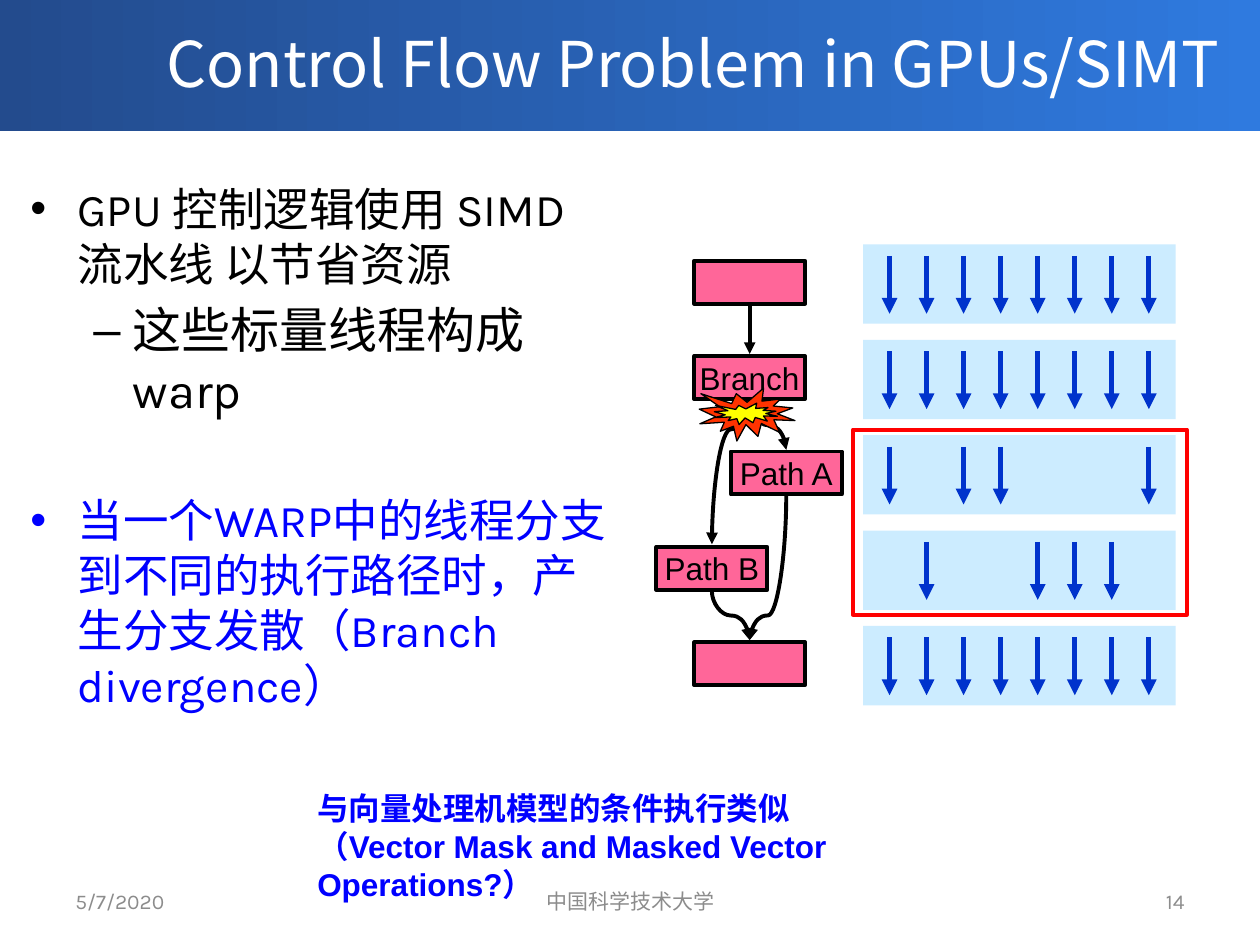
import lxml.etree
import pptx
import pptx.dml.color
import pptx.enum.shapes
import pptx.enum.text
import pptx.oxml.ns
import pptx.util

Inches = pptx.util.Inches
Pt = pptx.util.Pt
qn = pptx.oxml.ns.qn
MSO_SHAPE = pptx.enum.shapes.MSO_SHAPE
MSO_CONNECTOR = pptx.enum.shapes.MSO_CONNECTOR
ALIGN = pptx.enum.text.PP_ALIGN
MIDDLE = pptx.enum.text.MSO_ANCHOR.MIDDLE

HEX = {
    "banner_dark": "234B8D", "banner_light": "2F7ADF", "white": "FFFFFF",
    "black": "000000", "blue": "0000FF", "grey": "8C8C8C",
    "warp": "CCECFF", "thread": "0033CC", "divergence": "FF0000",
    "block": "FF6699", "flame": "FF3300", "spark": "FFFF00",
}
COLOR = {name: pptx.dml.color.RGBColor.from_string(code) for name, code in HEX.items()}
CJK_FONT = "Noto Sans CJK SC"


def write_text(frame, text, first=True, font="Karla", size=18, color="black", bold=False,
               align=ALIGN.LEFT, level=0, before=0, pitch=None):
    paragraph = frame.paragraphs[0] if first else frame.add_paragraph()
    paragraph.alignment = align
    paragraph.level = level
    paragraph.space_before = Pt(before)
    if pitch:
        paragraph.line_spacing = Pt(pitch)
    run = paragraph.add_run()
    run.text = text
    run.font.name = font
    run.font.size = Pt(size)
    run.font.bold = bold
    run.font.color.rgb = COLOR[color]
    east_asian = lxml.etree.SubElement(run.font._element, qn("a:ea"))
    east_asian.set("typeface", CJK_FONT)


def add_arrow(shapes, start, end, color, width, bend=None):
    """Straight arrow, or a vertical S-curve that turns at the share `bend` of its height."""
    (x1, y1), (x2, y2) = start, end
    if bend is None:
        arrow = shapes.add_connector(MSO_CONNECTOR.STRAIGHT,
                                     Inches(x1), Inches(y1), Inches(x2), Inches(y2))
    else:
        # The curve preset runs sideways, so it is laid flat and then turned upright
        center_x, center_y = (x1 + x2) / 2, (y1 + y2) / 2
        half_run, half_shift = abs(y2 - y1) / 2, abs(x2 - x1) / 2
        arrow = shapes.add_connector(
            MSO_CONNECTOR.CURVE,
            Inches(center_x - half_run), Inches(center_y - half_shift),
            Inches(center_x + half_run), Inches(center_y + half_shift))
        transform = arrow._element.spPr.find(qn("a:xfrm"))
        transform.set("rot", str((90 if x2 < x1 else 270) * 60000))
        if x2 > x1:
            transform.set("flipH", "1")
        adjustments = arrow._element.spPr.find(qn("a:prstGeom")).find(qn("a:avLst"))
        guide = lxml.etree.SubElement(adjustments, qn("a:gd"))
        guide.set("name", "adj1")
        guide.set("fmla", f"val {round(bend * 100000)}")
    arrow.line.color.rgb = COLOR[color]
    arrow.line.width = Pt(width)
    head = lxml.etree.SubElement(arrow.line._get_or_add_ln(), qn("a:tailEnd"))
    head.set("type", "triangle")
    lxml.etree.SubElement(arrow._element.spPr, qn("a:effectLst"))


deck = pptx.Presentation()
deck.slide_width, deck.slide_height = Inches(10), Inches(7.5)
slide = deck.slides.add_slide(deck.slide_layouts[1])
title, points = slide.placeholders

# Banner, placed behind the title
banner = slide.shapes.add_shape(MSO_SHAPE.RECTANGLE, 0, Inches(-0.03), Inches(10), Inches(1.07))
banner.shadow.inherit = False
banner.line.fill.background()
banner.fill.gradient()
banner.fill.gradient_angle = 0
for stop, shade in zip(banner.fill.gradient_stops, ("banner_dark", "banner_light")):
    stop.color.rgb = COLOR[shade]
title._element.addprevious(banner._element)

# Title and bullet list
for part, (left, top, width, height) in ((title, (1, 0, 9, 0.99)), (points, (0.14, 1.38, 4.8, 5.25))):
    part.left, part.top = Inches(left), Inches(top)
    part.width, part.height = Inches(width), Inches(height)
    part.text_frame.auto_size = pptx.enum.text.MSO_AUTO_SIZE.NONE
title.text_frame.vertical_anchor = MIDDLE
write_text(title.text_frame, "Control Flow Problem in GPUs/SIMT", font=CJK_FONT, size=36,
           color="white", align=ALIGN.CENTER)
write_text(points.text_frame, "GPU 控制逻辑使用 SIMD流水线 以节省资源", size=26, pitch=31.4)
write_text(points.text_frame, "这些标量线程构成warp", first=False, size=28, level=1,
           before=5, pitch=34.2)
write_text(points.text_frame, "当一个WARP中的线程分支到不同的执行路径时，产生分支发散（Branch divergence）",
           first=False, size=26, color="blue", before=42, pitch=31.4)

# Date, footer and page number
for text, left, width, align in (("5/7/2020", 0.5, 2.33, ALIGN.LEFT),
                                 ("中国科学技术大学", 3.42, 3.17, ALIGN.CENTER),
                                 ("14", 7.17, 2.33, ALIGN.RIGHT)):
    footer = slide.shapes.add_textbox(Inches(left), Inches(6.95), Inches(width), Inches(0.4))
    footer.text_frame.word_wrap = True
    footer.text_frame.vertical_anchor = MIDDLE
    write_text(footer.text_frame, text, size=12, color="grey", align=align)

# Warps: one row per step, one arrow per active thread
ROW_PITCH = 0.757
THREAD_PITCH = 0.294
for row, mask in enumerate(("11111111", "11111111", "10110001", "01001110", "11111111")):
    top = 1.94 + row * ROW_PITCH
    warp = slide.shapes.add_group_shape()
    lane = warp.shapes.add_shape(MSO_SHAPE.RECTANGLE, Inches(6.85), Inches(top),
                                 Inches(2.48), Inches(0.63))
    lane.shadow.inherit = False
    lane.fill.solid()
    lane.fill.fore_color.rgb = COLOR["warp"]
    lane.line.fill.background()
    for thread, active in enumerate(mask):
        if active == "1":
            x = 7.06 + thread * THREAD_PITCH
            add_arrow(warp.shapes, (x, top + 0.09), (x, top + 0.55), "thread", 3)

# Frame around the diverged rows
divergence = slide.shapes.add_shape(MSO_SHAPE.RECTANGLE, Inches(6.77), Inches(3.41),
                                    Inches(2.65), Inches(1.47))
divergence.shadow.inherit = False
divergence.fill.background()
divergence.line.color.rgb = COLOR["divergence"]
divergence.line.width = Pt(2.25)

# Control flow arrows
flow = slide.shapes.add_group_shape()
for start, end, bend in (((5.95, 2.42), (5.95, 2.81), None),
                         ((5.95, 3.18), (5.65, 4.32), 0.2),
                         ((5.95, 3.18), (6.24, 3.57), 0.5),
                         ((6.24, 3.93), (5.95, 5.08), 0.83),
                         ((5.65, 4.69), (5.95, 5.08), 0.5)):
    add_arrow(flow.shapes, start, end, "black", 2.25, bend)

# Control flow blocks, then the burst at the branch
blocks = [(MSO_SHAPE.RECTANGLE, left, 2.07 + step * ROW_PITCH, 0.88, 0.34, "block", 2.25, label)
          for step, (left, label) in enumerate(((5.51, ""), (5.51, "Branch"), (5.8, "Path A"),
                                                (5.21, "Path B"), (5.51, "")))]
bursts = [(MSO_SHAPE.EXPLOSION1, 5.55, 3.08, 0.76, 0.42, "flame", 0.75, ""),
          (MSO_SHAPE.EXPLOSION1, 5.67, 3.2, 0.5, 0.17, "spark", 0.75, "")]
for preset, left, top, width, height, fill, outline, label in blocks + bursts:
    node = slide.shapes.add_shape(preset, Inches(left), Inches(top), Inches(width), Inches(height))
    node.shadow.inherit = False
    node.fill.solid()
    node.fill.fore_color.rgb = COLOR[fill]
    node.line.color.rgb = COLOR["black"]
    node.line.width = Pt(outline)
    if label:
        node.text_frame.word_wrap = False
        node.text_frame.vertical_anchor = MIDDLE
        write_text(node.text_frame, label, font="Arial", align=ALIGN.CENTER)

# Closing remark
remark = slide.shapes.add_textbox(Inches(2.42), Inches(6.21), Inches(5.84), Inches(0.71))
remark.text_frame.word_wrap = True
for index, text in enumerate(("与向量处理机模型的条件执行类似",
                              "（Vector Mask and Masked Vector Operations?）")):
    write_text(remark.text_frame, text, first=index == 0, font="Arial", color="blue",
               bold=True, pitch=21.7)

deck.save("out.pptx")
